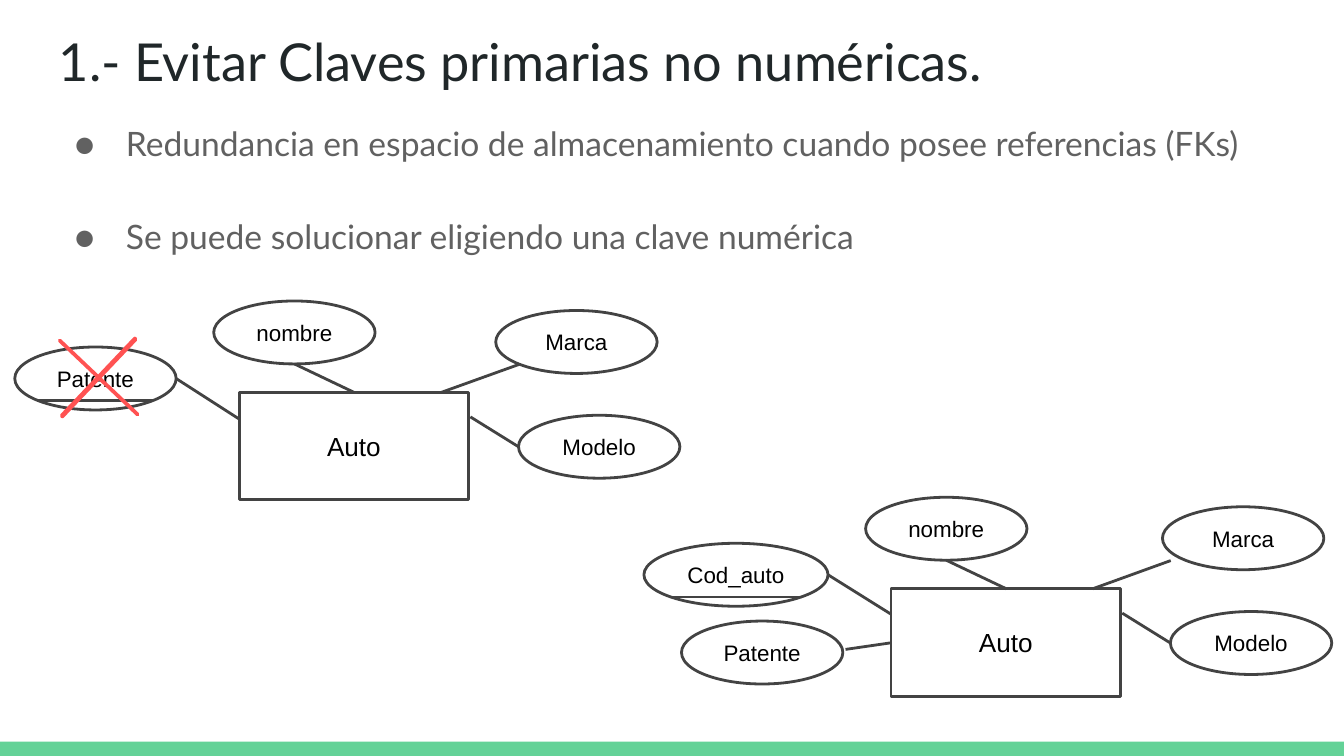
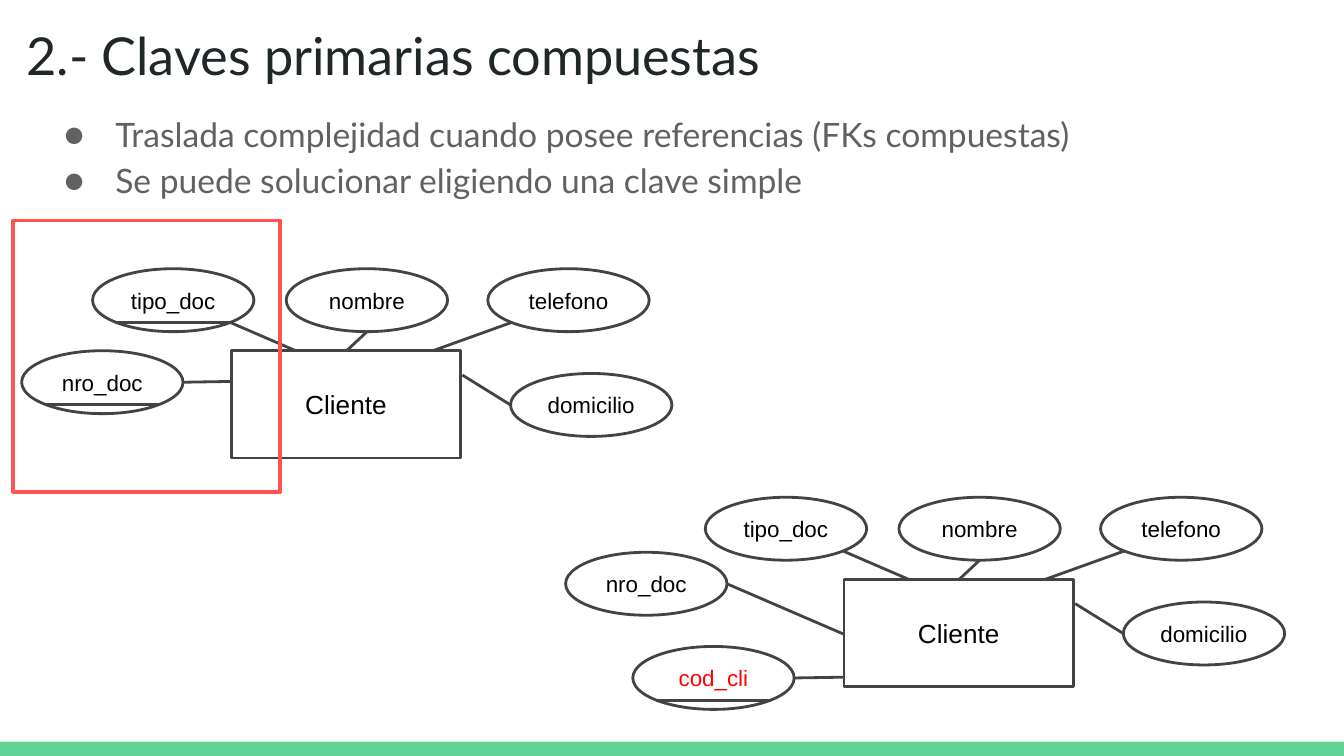
from lxml import etree
from pptx import Presentation
from pptx.dml.color import RGBColor
from pptx.enum.shapes import MSO_CONNECTOR, MSO_SHAPE
from pptx.enum.text import MSO_ANCHOR, MSO_AUTO_SIZE, PP_ALIGN
from pptx.oxml.ns import qn
from pptx.util import Cm, Pt

RECT, ELLIPSE, CROSS = MSO_SHAPE.RECTANGLE, MSO_SHAPE.OVAL, MSO_SHAPE.CROSS
STRAIGHT = MSO_CONNECTOR.STRAIGHT
TOP, MIDDLE = MSO_ANCHOR.TOP, MSO_ANCHOR.MIDDLE
LEFT, CENTER = PP_ALIGN.LEFT, PP_ALIGN.CENTER
NO_FIT = MSO_AUTO_SIZE.NONE

WIDTH, HEIGHT = 25.4, 14.29
INK, GRAY, DARK = "202729", "616161", "434343"
GREEN, CORAL, RED = "63D297", "FF5252", "FF0000"
WHITE, BLACK = "FFFFFF", "000000"

ENTITY_W, ENTITY_H = 4.34, 2.03
ATTR_W, ATTR_H = 3.05, 1.19
ANCHORS = {
    "left": (0, 0.5),
    "right": (1, 0.5),
    "bottom": (0.5, 1),
    "bottom left": (0.146, 0.854),
    "bottom right": (0.854, 0.854),
}


def rgb(color):
    return RGBColor.from_string(color)


def write(p, text, size=12, font="Arial", color=BLACK, align=CENTER):
    p.alignment = align
    r = p.add_run()
    r.text = text
    r.font.size = Pt(size)
    r.font.name = font
    r.font.color.rgb = rgb(color)


def add_bullet(p, color):
    pPr = p._p.get_or_add_pPr()
    pPr.set("marL", str(Cm(1.27)))
    pPr.set("indent", str(Cm(-0.97)))
    clr = etree.SubElement(pPr, qn("a:buClr"))
    etree.SubElement(clr, qn("a:srgbClr")).set("val", color)
    etree.SubElement(pPr, qn("a:buFont")).set("typeface", "Lato")
    etree.SubElement(pPr, qn("a:buChar")).set("char", "●")


class Deck:
    def __init__(self):
        self.prs = Presentation()
        self.prs.slide_width, self.prs.slide_height = Cm(WIDTH), Cm(HEIGHT)
        self.s = None
        self.origin = (0, 0)

    def slide(self):
        first = self.s is None
        self.s = self.prs.slides.add_slide(self.prs.slide_layouts[1])
        if first:
            self.master_band()

    def master_band(self):
        band = self.shape(RECT, 0, 14.02, WIDTH, 0.27, fill=GREEN)
        band.element.nvSpPr.cNvPr.id = 100
        self.prs.slide_master.shapes.element.append(band.element)

    def place(self, sp, x, y, w, h):
        sp.left, sp.top, sp.width, sp.height = Cm(x), Cm(y), Cm(w), Cm(h)
        tf = sp.text_frame
        tf.word_wrap = True
        tf.auto_size = NO_FIT
        tf.vertical_anchor = TOP
        tf.margin_left = tf.margin_right = Cm(0.25)
        tf.margin_top = tf.margin_bottom = Cm(0.25)
        return tf

    def title(self, text, x, y):
        tf = self.place(self.s.shapes.title, x, y, 23.67, 1.6)
        write(tf.paragraphs[0], text, size=28, font="Lato", color=INK, align=LEFT)

    def bullets(self, items, x, y, gap=0):
        tf = self.place(self.s.placeholders[1], x, y, 23.67, 1.4)
        for i, text in enumerate(items):
            p = tf.add_paragraph() if i else tf.paragraphs[0]
            p.line_spacing = 1.15
            p.space_before = Pt(gap if i else 0)
            add_bullet(p, GRAY)
            write(p, text, size=18, font="Lato", color=GRAY, align=LEFT)

    def shape(self, kind, x, y, w, h, fill=None, line=None, weight=1.5, text="", **fmt):
        sp = self.s.shapes.add_shape(kind, Cm(x), Cm(y), Cm(w), Cm(h))
        sp.shadow.inherit = False
        if fill:
            sp.fill.solid()
            sp.fill.fore_color.rgb = rgb(fill)
        else:
            sp.fill.background()
        if line:
            sp.line.color.rgb = rgb(line)
            sp.line.width = Pt(weight)
        else:
            sp.line.fill.background()
        if text:
            tf = sp.text_frame
            tf.word_wrap = True
            tf.vertical_anchor = MIDDLE
            tf.margin_left = tf.margin_right = 0
            tf.margin_top = tf.margin_bottom = 0
            write(tf.paragraphs[0], text, **fmt)
        return sp

    def line(self, start, end):
        cx = self.s.shapes.add_connector(STRAIGHT, *map(Cm, (*start, *end)))
        cx.line.color.rgb = rgb(DARK)
        cx.line.width = Pt(1.5)
        etree.SubElement(cx._element.spPr, qn("a:effectLst"))

    def entity(self, text, x, y):
        self.origin = (x, y)
        self.shape(RECT, x, y, ENTITY_W, ENTITY_H, line=DARK, text=text, size=14)

    def attribute(self, text, dx, dy, anchor, end, key=False, w=ATTR_W,
                  nudge=(0, 0), color=BLACK):
        ox, oy = self.origin
        x, y = ox + dx, oy + dy

        def at(name):
            fx, fy = ANCHORS[name]
            return x + fx * w, y + fy * ATTR_H

        self.shape(ELLIPSE, x, y, w, ATTR_H, line=DARK, text=text, color=color)
        ax, ay = at(anchor)
        self.line((ax + nudge[0], ay + nudge[1]), (ox + end[0], oy + end[1]))
        if key:
            self.line(at("bottom left"), at("bottom right"))

    def right_attributes(self, upper, lower, upper_dx=4.85, nudge=(0, 0)):
        self.attribute(upper, upper_dx, -1.55, "bottom left", (3.81, 0), nudge=nudge)
        self.attribute(lower, 5.28, 0.43, "left", (4.37, 0.46))

    def auto(self, x, y, **upper):
        self.entity("Auto", x, y)
        self.right_attributes("Marca", "Modelo", **upper)
        self.attribute("nombre", -0.48, -1.73, "bottom", (2.18, 0))

    def cliente(self, x, y, tipo_key=False):
        self.entity("Cliente", x, y)
        self.right_attributes("telefono", "domicilio")
        self.attribute("nombre", 1.04, -1.55, "bottom", (2.18, 0))
        self.attribute("tipo_doc", -2.62, -1.55, "bottom right", (1.22, 0), key=tipo_key)


def numeric_keys(d):
    d.slide()
    d.title("1.- Evitar Claves primarias no numéricas.", 0.86, 0.3)
    d.bullets([
        "Redundancia en espacio de almacenamiento cuando posee referencias (FKs)",
        "Se puede solucionar eligiendo una clave numérica",
    ], 0.86, 1.96, gap=25)

    d.auto(4.52, 7.42)
    d.attribute("Patente", -4.24, -0.86, "right", (0, 0.5), key=True)

    d.auto(16.84, 11.13, upper_dx=5.13, nudge=(-0.29, 0))
    d.attribute("Cod_auto", -4.67, -0.86, "right", (0, 0.48), key=True, w=3.48)
    d.attribute("Patente", -3.96, 0.61, "right", (0, 1.02), nudge=(0.05, -0.06))

    cross = d.shape(CROSS, 0.86, 6.12, 2.01, 2.03, fill=WHITE, line=CORAL, weight=2)
    cross.adjustments[0] = 0.5
    cross.rotation = 313.5


def composite_keys(d):
    d.slide()
    d.title("2.- Claves primarias compuestas", 0.25, 0.18)
    d.bullets([
        "Traslada complejidad cuando posee referencias (FKs compuestas)",
        "Se puede solucionar eligiendo una clave simple",
    ], 0.66, 1.78)

    d.cliente(4.37, 6.63, tipo_key=True)
    d.attribute("nro_doc", -3.96, 0, "right", (0, 0.58), key=True)
    d.shape(RECT, 0.25, 4.17, 5.05, 5.13, line=CORAL, weight=2)

    d.cliente(15.95, 10.95)
    d.attribute("nro_doc", -5.26, -0.51, "right", (0, 1.04))
    d.attribute("cod_cli", -3.99, 1.27, "right", (0, 1.85), key=True, color=RED)


def main():
    d = Deck()
    numeric_keys(d)
    composite_keys(d)
    d.prs.save("out.pptx")


if __name__ == "__main__":
    main()
